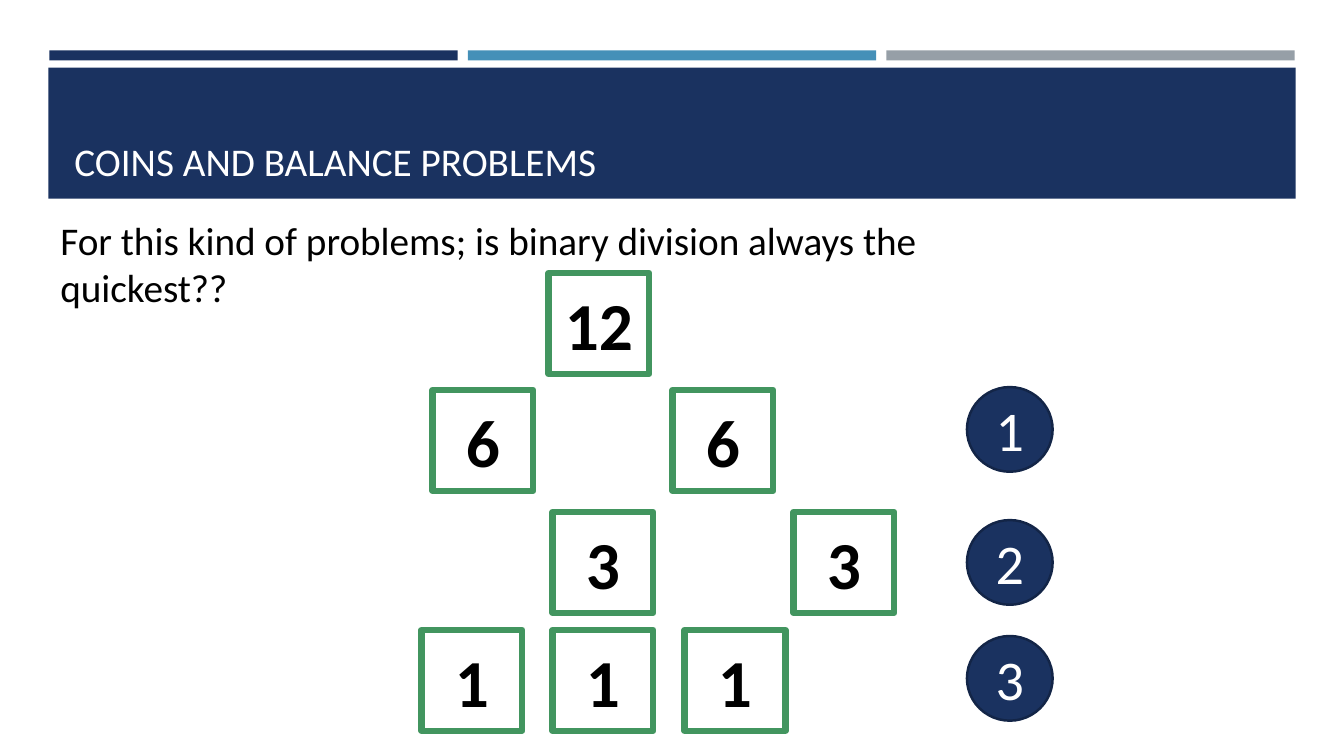
"""Builds the slide on coins and balance problems."""
from pptx import Presentation
from pptx.dml.color import RGBColor
from pptx.enum.shapes import MSO_SHAPE
from pptx.enum.text import MSO_ANCHOR, PP_ALIGN
from pptx.util import Inches, Pt

TITLE = "COINS AND BALANCE PROBLEMS"
QUESTION = "For this kind of problems; is binary division always the quickest??"
NAVY, BLUE, GRAY, GREEN = "1A3260", "4590B8", "969FA7", "42955F"
EDGE, WHITE, BLACK = "132547", "FFFFFF", "000000"

BAR_COLORS = [NAVY, BLUE, GRAY]
BAR_LEFT, BAR_STEP, BAR_WIDTH = 0.49, 4.15, 4.05
PILE, STEP_W, STEP_H = 1, 0.85, 0.84
PILE_ROWS = [
    (2.71, [("12", 5.44)]),
    (3.87, [("6", 4.29), ("6", 6.67)]),
    (5.08, [("3", 5.48), ("3", 7.87)]),
    (6.25, [("1", 4.18), ("1", 5.48), ("1", 6.79)]),
]
STEP_LEFT, STEP_TOPS = 9.59, [3.84, 5.16, 6.31]


def rgb(color):
    return RGBColor.from_string(color)


def write(sp, text, size, color, bold=False, align=PP_ALIGN.LEFT, anchor=MSO_ANCHOR.TOP):
    tf = sp.text_frame
    tf.word_wrap = True
    tf.vertical_anchor = anchor
    p = tf.paragraphs[0]
    p.text, p.alignment = text, align
    p.font.name, p.font.size, p.font.bold = "Calibri", Pt(size), bold
    p.font.color.rgb = rgb(color)


def shape(s, kind, box, fill, line=None, width=0):
    sp = s.shapes.add_shape(kind, *map(Inches, box))
    sp.shadow.inherit = False
    sp.fill.solid()
    sp.fill.fore_color.rgb = rgb(fill)
    if line:
        sp.line.color.rgb = rgb(line)
        sp.line.width = Pt(width)
    else:
        sp.line.fill.background()
    return sp


def label(sp, text, size, color, bold=False):
    write(sp, text, size, color, bold, PP_ALIGN.CENTER, MSO_ANCHOR.MIDDLE)


def main():
    prs = Presentation()
    prs.slide_width, prs.slide_height = Inches(13.33), Inches(7.5)
    s = prs.slides.add_slide(prs.slide_layouts[6])

    for i, color in enumerate(BAR_COLORS):
        shape(s, MSO_SHAPE.RECTANGLE, (BAR_LEFT + i * BAR_STEP, 0.5, BAR_WIDTH, 0.1), color)
    shape(s, MSO_SHAPE.RECTANGLE, (0.48, 0.67, 12.37, 1.3), NAVY)

    title = s.shapes.add_textbox(*map(Inches, (0.64, 0.77, 12.06, 1.11)))
    write(title, TITLE, 28, WHITE, anchor=MSO_ANCHOR.BOTTOM)
    question = s.shapes.add_textbox(*map(Inches, (0.5, 2.1, 10.42, 0.57)))
    write(question, QUESTION, 28, BLACK)

    for top, piles in PILE_ROWS:
        for coins, left in piles:
            sp = shape(s, MSO_SHAPE.RECTANGLE, (left, top, PILE, PILE), WHITE, GREEN, 4.5)
            label(sp, coins, 48, BLACK, True)

    for number, top in enumerate(STEP_TOPS, 1):
        sp = shape(s, MSO_SHAPE.OVAL, (STEP_LEFT, top, STEP_W, STEP_H), NAVY, EDGE, 1.75)
        label(sp, str(number), 40, WHITE)

    prs.save("out.pptx")


if __name__ == "__main__":
    main()
